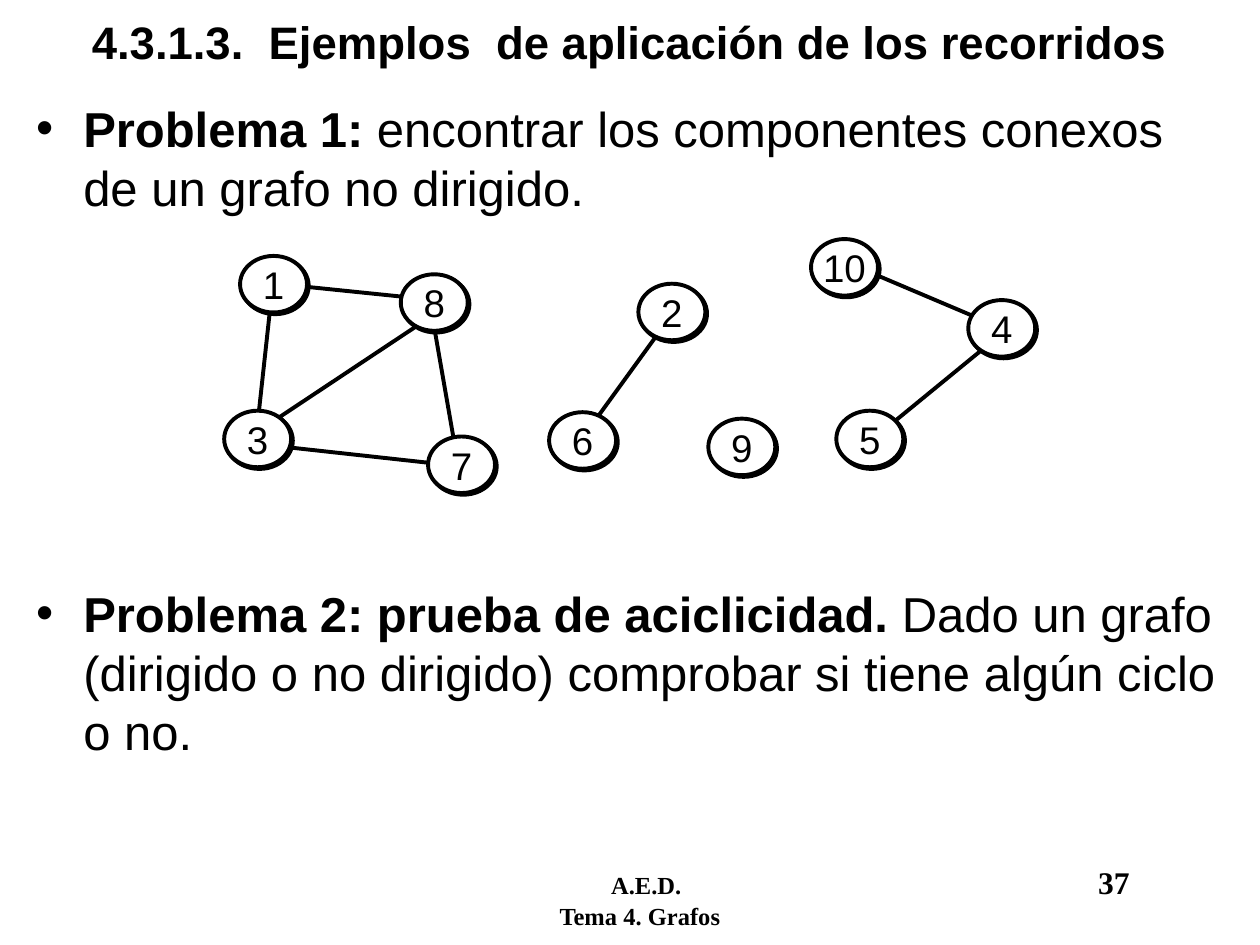
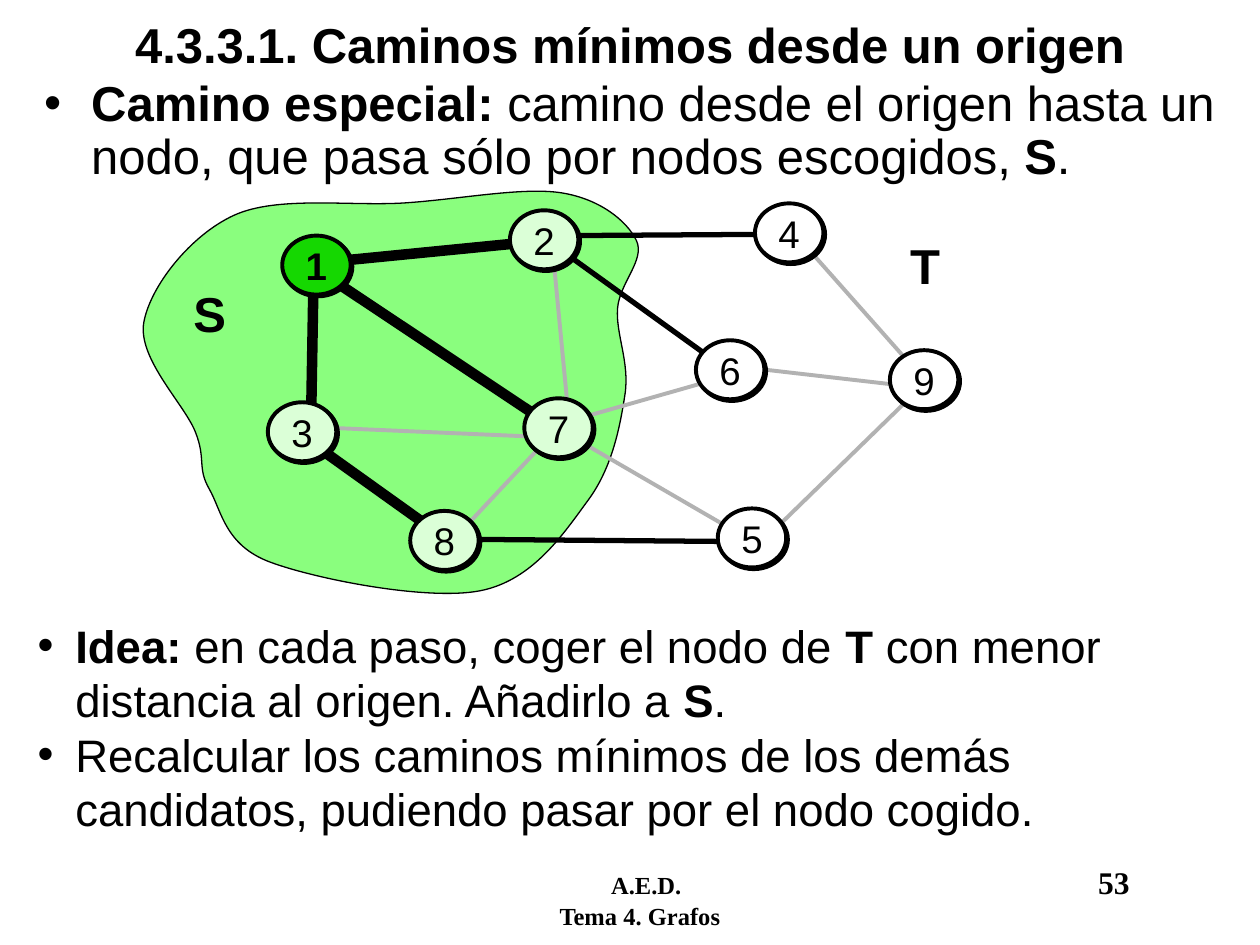
from lxml import etree
from pptx import Presentation
from pptx.dml.color import RGBColor
from pptx.enum.shapes import MSO_CONNECTOR, MSO_SHAPE
from pptx.enum.text import MSO_ANCHOR, PP_ALIGN
from pptx.oxml.ns import qn
from pptx.util import Cm, Pt

BLACK = RGBColor(0x00, 0x00, 0x00)
WHITE = RGBColor(0xFF, 0xFF, 0xFF)
GREY = RGBColor(0xB2, 0xB2, 0xB2)
REGION = RGBColor(0x8A, 0xFE, 0x7E)
SOURCE = RGBColor(0x15, 0xD7, 0x01)
CHOSEN = RGBColor(0xDB, 0xFF, 0xD7)
OVAL = MSO_SHAPE.OVAL
LINE = MSO_CONNECTOR.STRAIGHT
MIDDLE = MSO_ANCHOR.MIDDLE
LEFT, CENTER = PP_ALIGN.LEFT, PP_ALIGN.CENTER
SANS, SERIF = "Arial", "Times New Roman"


def write(frame, paras, size, align=LEFT, indent=0, tabs=(), face=SANS):
    """Fill a frame; text between asterisks is bold."""
    for i, text in enumerate(paras):
        para = frame.paragraphs[0] if i == 0 else frame.add_paragraph()
        para.alignment = align
        props = para._p.get_or_add_pPr()
        if indent:
            props.set("marL", str(Cm(indent)))
            props.set("indent", str(-Cm(indent)))
            etree.SubElement(props, qn("a:buFont"), typeface=face)
            etree.SubElement(props, qn("a:buChar"), char="•")
        if tabs:
            stops = etree.SubElement(props, qn("a:tabLst"))
            for stop in tabs[i]:
                etree.SubElement(stops, qn("a:tab"), pos=str(Cm(stop)), algn="l")
        para.font.name = face
        para.font.size = Pt(size)
        para.font.color.rgb = BLACK
        for j, part in enumerate(text.split("*")):
            if part:
                run = para.add_run()
                run.text = part
                run.font.bold = j % 2 == 1


def add_text(slide, box, paras, size, **style):
    frame = slide.shapes.add_textbox(*map(Cm, box)).text_frame
    frame.word_wrap = True
    write(frame, paras, size, **style)
    return frame


# Content: edges are x1, y1, x2, y2 by (width, colour); nodes are label, x, y
THIN, FAINT = (2.25, BLACK), (2.25, GREY)
BOLD, CROSS = (6, BLACK), (3, BLACK)
pages = [
    {
        "title": "4.3.1.3.  Ejemplos  de aplicación de los recorridos",
        "head": (26, 1.65),
        "page": 37,
        "texts": [
            ((0.48, 1.86, 24.28, 2.6), 28, 0.95, 1,
             ["*Problema 1:* encontrar los componentes conexos de un grafo no dirigido."]),
            ((0.48, 11.64, 24.28, 3.8), 28, 0.95, 1,
             ["*Problema 2: prueba de aciclicidad.* Dado un grafo (dirigido o no "
              "dirigido) comprobar si tiene algún ciclo o no."]),
        ],
        "edges": {
            THIN: [
                (6.05, 5.77, 8.79, 6.05), (8.71, 6.35, 9.17, 8.99),
                (8.69, 6.38, 5.03, 8.81), (5.44, 6.27, 5.21, 8.38),
                (5.56, 8.99, 9.47, 9.42), (13.61, 6.25, 11.84, 8.69),
                (20.04, 6.55, 17.35, 5.41), (20.09, 6.81, 17.55, 8.89),
            ],
        },
        "size": (1.35, 1.14),
        "nodes": {
            WHITE: [
                ("1", 4.84, 5.16), ("2", 12.87, 5.72), ("3", 4.52, 8.28),
                ("7", 8.63, 8.8), ("8", 8.08, 5.53), ("6", 11.07, 8.31),
                ("4", 19.52, 6.05), ("9", 14.28, 8.44), ("5", 16.86, 8.28),
                ("10", 16.35, 4.82),
            ],
        },
        "region": [],
    },
    {
        "title": "4.3.3.1. Caminos mínimos desde un origen",
        "head": (28, 1.77),
        "page": 53,
        "texts": [
            ((0.64, 1.48, 24.13, 2.72), 28, 0.95, 0.9,
             ["*Camino especial:* camino desde el origen hasta un nodo, que pasa "
              "sólo por nodos escogidos, *S*."]),
            ((3.65, 5.59, 1.22, 1.45), 28, 0, 1, ["*S*"]),
            ((18.1, 4.62, 1.22, 1.45), 28, 0, 1, ["*T*"]),
            ((0.51, 12.33, 23.98, 4.67), 26, 0.76, 1,
             ["*Idea:* en cada paso, coger el nodo de *T* con menor distancia al "
              "origen. Añadirlo a *S*.",
              "Recalcular los caminos mínimos de los demás candidatos, pudiendo "
              "pasar por el nodo cogido."]),
        ],
        "edges": {
            FAINT: [
                (11.25, 8.64, 15.06, 10.85), (14.88, 7.39, 18.44, 7.8),
                (18.67, 7.7, 15.57, 10.72), (11.13, 4.93, 11.46, 8.38),
                (11, 8.89, 9.12, 10.9), (6.32, 8.61, 10.95, 8.81),
                (16.1, 4.8, 18.44, 7.44), (11.05, 8.61, 14.63, 7.59),
            ],
            CROSS: [
                (11.43, 5.13, 14.43, 7.29), (9.07, 10.87, 15.19, 10.92),
                (16.1, 4.72, 11.33, 4.75),
            ],
            BOLD: [
                (6.55, 5.54, 11.46, 8.81), (6.12, 8.81, 9.14, 10.97),
                (6.83, 5.26, 11, 4.85), (6.32, 5.61, 6.27, 8.53),
            ],
        },
        "size": (1.38, 1.19),
        "nodes": {
            SOURCE: [("*1*", 5.69, 4.75)],
            CHOSEN: [("2", 10.28, 4.24), ("3", 5.4, 8.11),
                     ("7", 10.57, 8.03), ("8", 8.27, 10.3)],
            WHITE: [("6", 14.03, 6.86), ("4", 15.22, 4.1),
                    ("9", 17.94, 7.06), ("5", 14.47, 10.25)],
        },
        "region": [
            (3.94, 8.71), (2.9, 6.5), (4.72, 4.34), (8.18, 4.09),
            (11.33, 3.89), (12.83, 4.85), (12.45, 6.22), (12.6, 7.95),
            (11.86, 10.08), (9.68, 11.91), (5.44, 11.33), (4.22, 9.86),
        ],
    },
]

deck = Presentation()
deck.slide_width, deck.slide_height = Cm(25.4), Cm(19.05)

for page in pages:
    slide = deck.slides.add_slide(deck.slide_layouts[6])
    shapes = slide.shapes

    # Footer with page number
    foot = add_text(slide, (9.19, 17.27, 14.73, 1.27),
                    ["*\tA.E.D.\t*", "*\tTema 4. Grafos*"], 14,
                    tabs=[(2.88, 12.7), (1.84,)], face=SERIF)
    number = foot.paragraphs[0].add_run()
    number.text = str(page["page"])
    number.font.size = Pt(18)
    number.font.bold = True

    # Region of chosen nodes: a closed smooth curve through its knots
    knots = [(Cm(x), Cm(y)) for x, y in page["region"]]
    if knots:
        pen = shapes.build_freeform(*knots[0])
        pen.add_line_segments(knots[1:] + knots[:1], close=True)
        blob = pen.convert_to_shape()
        blob.shadow.inherit = False
        blob.fill.solid()
        blob.fill.fore_color.rgb = REGION
        blob.line.color.rgb = BLACK
        blob.line.width = Pt(0.75)
        for i, side in enumerate(list(blob._element.iter(qn("a:lnTo")))):
            a, b, c, d = (knots[(i + k) % len(knots)] for k in (-1, 0, 1, 2))
            bend = etree.Element(qn("a:cubicBezTo"))
            for x, y in (
                [q + (r - p) / 6 for p, q, r in zip(a, b, c)],
                [r - (s - q) / 6 for q, r, s in zip(b, c, d)],
                c,
            ):
                etree.SubElement(bend, qn("a:pt"), x=str(round(x - blob.left)),
                                 y=str(round(y - blob.top)))
            side.getparent().replace(side, bend)

    # Edges
    for (width, color), ends in page["edges"].items():
        for end in ends:
            edge = shapes.add_connector(LINE, *map(Cm, end))
            edge.line.color.rgb = color
            edge.line.width = Pt(width)
            etree.SubElement(edge._element.spPr, qn("a:effectLst"))

    # Nodes with a hard shadow
    for fill, group in page["nodes"].items():
        for label, x, y in group:
            node = shapes.add_shape(OVAL, *map(Cm, (x, y, *page["size"])))
            node.fill.solid()
            node.fill.fore_color.rgb = fill
            node.line.color.rgb = BLACK
            node.line.width = Pt(2.25)
            node.shadow.inherit = False
            effect = node._element.spPr.find(qn("a:effectLst"))
            shade = etree.SubElement(effect, qn("a:outerShdw"), dist=str(Pt(1.4)),
                                     dir="2700000", algn="ctr", rotWithShape="0")
            etree.SubElement(shade, qn("a:srgbClr"), val=str(BLACK))
            node.text_frame.word_wrap = False
            node.text_frame.vertical_anchor = MIDDLE
            write(node.text_frame, [label], 22, align=CENTER)

    # Title and body texts
    size, height = page["head"]
    title = add_text(slide, (0.85, 0, 23.7, height), [f"*{page['title']}*"],
                     size, align=CENTER)
    title.vertical_anchor = MIDDLE
    for box, size, indent, spacing, paras in page["texts"]:
        frame = add_text(slide, box, paras, size, indent=indent)
        if spacing != 1:
            frame.paragraphs[0].line_spacing = spacing

deck.save("out.pptx")
